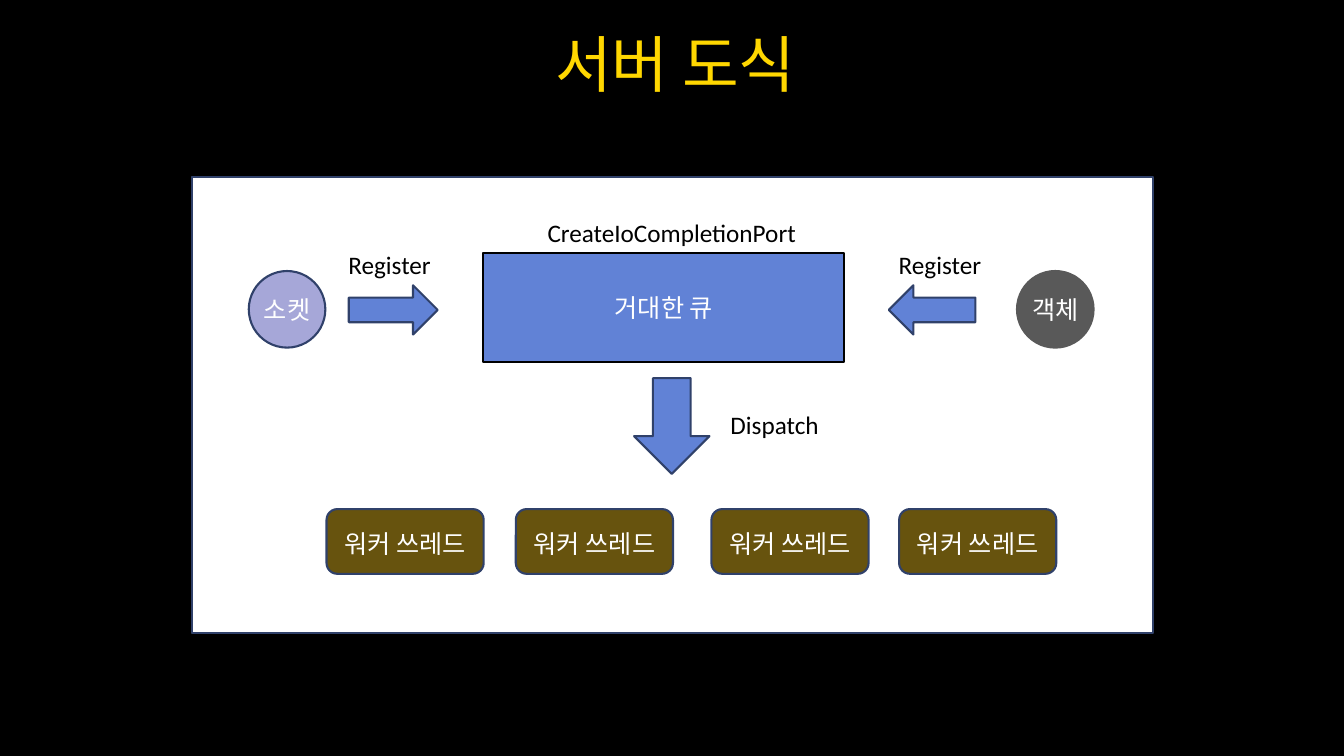
from pptx import Presentation
from pptx.dml.color import RGBColor
from pptx.enum.shapes import MSO_SHAPE as Shape
from pptx.enum.text import MSO_ANCHOR as Anchor, MSO_AUTO_SIZE as AutoSize, PP_ALIGN as Align
from pptx.util import Cm, Pt

FONT = "Calibri"
BLACK, WHITE, GOLD = "000000", "FFFFFF", "FFD700"
BLUE, NAVY = "6182D6", "30416A"
LILAC, GRAY, BROWN = "A6A7D8", "595959", "67530E"


def rgb(color):
    return RGBColor.from_string(color)


def write(tf, text, color, size=18, align=Align.CENTER):
    tf.word_wrap = True
    p = tf.paragraphs[0]
    p.alignment = align
    r = p.add_run()
    r.text = text
    r.font.name = FONT
    r.font.size = Pt(size)
    r.font.color.rgb = rgb(color)


def add_box(s, kind, x, y, w, h, fill, line=NAVY):
    sp = s.shapes.add_shape(kind, Cm(x), Cm(y), Cm(w), Cm(h))
    sp.shadow.inherit = False
    sp.fill.solid()
    sp.fill.fore_color.rgb = rgb(fill)
    sp.line.color.rgb = rgb(line)
    sp.line.width = Pt(1.5)
    return sp


def add_label(s, text, x, y, w, h=1, color=BLACK, align=Align.CENTER):
    tf = s.shapes.add_textbox(Cm(x), Cm(y), Cm(w), Cm(h)).text_frame
    write(tf, text, color, align=align)
    tf.auto_size = AutoSize.SHAPE_TO_FIT_TEXT


def add_title(s, text):
    tf = s.shapes.add_textbox(Cm(2.54), Cm(0.53), Cm(28.96), Cm(2.39)).text_frame
    write(tf, text, GOLD, size=44)


def add_source(s, text, x, fill, line):
    """Circle that registers with the queue."""
    add_box(s, Shape.OVAL, x, 6.83, 1.93, 1.93, fill, line)
    add_label(s, text, x, 7.29, 1.93, color=WHITE)


def add_worker(s, x):
    add_box(s, Shape.ROUNDED_RECTANGLE, x, 12.83, 3.96, 1.63, BROWN)
    add_label(s, "워커 쓰레드", x, 13.18, 3.96, color=WHITE)


def main():
    prs = Presentation()
    prs.slide_width, prs.slide_height = Cm(33.87), Cm(19.05)
    s = prs.slides.add_slide(prs.slide_layouts[6])
    s.background.fill.solid()
    s.background.fill.fore_color.rgb = rgb(BLACK)

    # Panel and title
    add_box(s, Shape.RECTANGLE, 4.83, 4.45, 24.23, 11.51, WHITE)
    add_title(s, "서버 도식")

    # Completion queue
    queue = add_box(s, Shape.RECTANGLE, 12.18, 6.38, 9.1, 2.74, BLUE, BLACK)
    queue.text_frame.vertical_anchor = Anchor.MIDDLE
    write(queue.text_frame, "거대한 큐", WHITE)
    add_label(s, "CreateIoCompletionPort", 12.6, 5.36, 8.66)

    # Registration from both sides
    add_source(s, "소켓", 6.27, LILAC, NAVY)
    add_source(s, "객체", 25.63, GRAY, GRAY)
    add_box(s, Shape.RIGHT_ARROW, 8.79, 7.19, 2.24, 1.24, BLUE)
    add_box(s, Shape.LEFT_ARROW, 22.4, 7.19, 2.18, 1.24, BLUE)
    for x in (8.53, 22.4):
        add_label(s, "Register", x, 6.17, 2.79, align=Align.LEFT)

    # Dispatch to the workers
    add_box(s, Shape.DOWN_ARROW, 15.98, 9.53, 1.9, 2.41, BLUE)
    add_label(s, "Dispatch", 18.16, 10.19, 3.53, align=Align.LEFT)
    for x in (8.23, 13, 17.93, 22.66):
        add_worker(s, x)

    prs.save("out.pptx")


if __name__ == "__main__":
    main()
